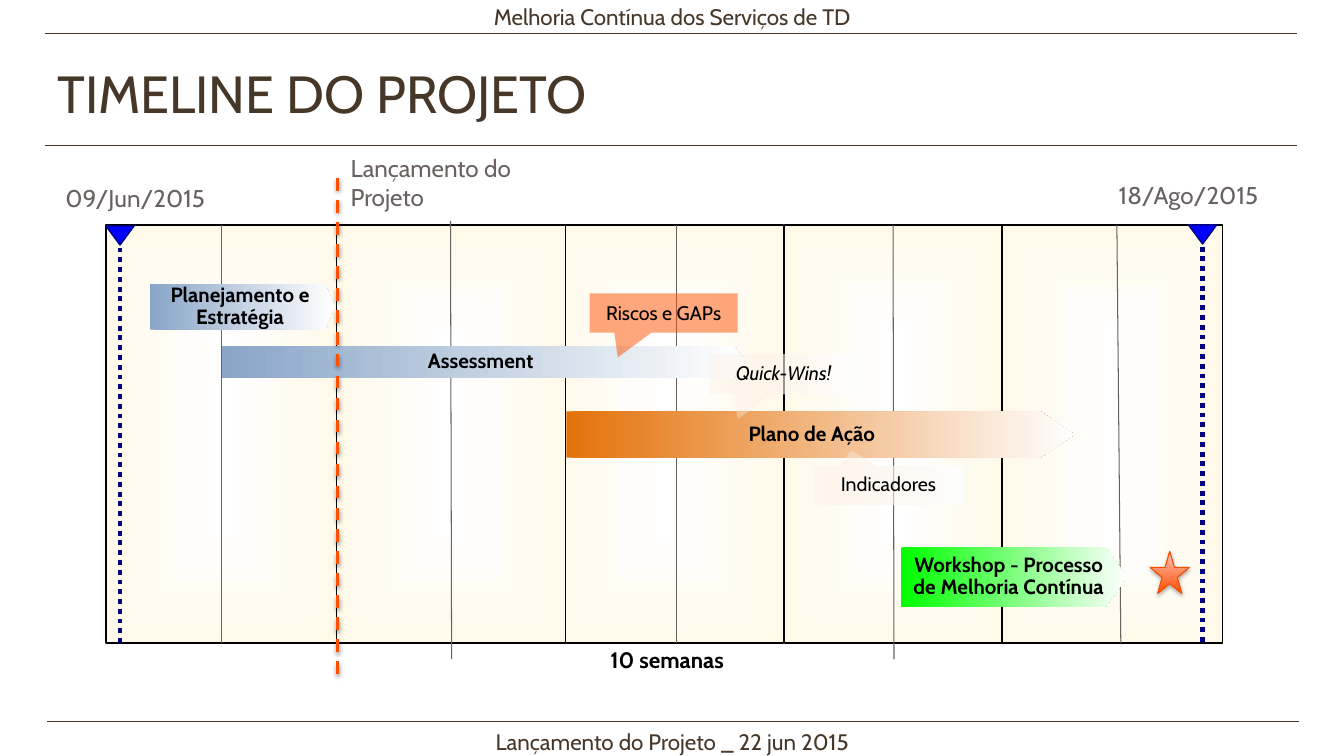
import pptx
import pptx.util
import pptx.dml.color
import pptx.enum.dml
import pptx.enum.shapes
import pptx.enum.text
import pptx.oxml
import pptx.oxml.ns

Pt = pptx.util.Pt
SHAPE = pptx.enum.shapes.MSO_SHAPE
DASH = pptx.enum.dml.MSO_LINE
ALIGN = pptx.enum.text.PP_ALIGN
ANCHOR = pptx.enum.text.MSO_ANCHOR
NS = pptx.oxml.ns.nsdecls("a")
qn = pptx.oxml.ns.qn

BROWN, GREY, BLACK, NAVY, ORANGE = "473729", "696261", "000000", "000080", "FE5000"
GRID_TOP, GRID_HEIGHT = 160.6, 298.8
GRID_BOTTOM = GRID_TOP + GRID_HEIGHT


def rgb(code):
    return pptx.dml.color.RGBColor.from_string(code)


def apply(target, values):
    for name, value in values.items():
        setattr(target, name, value)


def write(tf, text, size, color=BLACK, align=ALIGN.LEFT, anchor=ANCHOR.TOP,
          spacing=1.0, inset=(7.2, 3.6), bold=False, italic=False):
    mx, my = inset
    apply(tf, {"word_wrap": True, "vertical_anchor": anchor,
               "auto_size": pptx.enum.text.MSO_AUTO_SIZE.NONE,
               "margin_left": Pt(mx), "margin_right": Pt(mx),
               "margin_top": Pt(my), "margin_bottom": Pt(my)})
    p = tf.paragraphs[0]
    apply(p, {"alignment": align, "line_spacing": spacing, "space_before": Pt(0)})
    r = p.add_run()
    r.text = text
    apply(r.font, {"name": "Cabin", "size": Pt(size), "bold": bold, "italic": italic})
    r.font.color.rgb = rgb(color)


def add_text(slide, box, text, size, **fmt):
    s = slide.shapes.add_textbox(*map(Pt, box))
    write(s.text_frame, text, size, **fmt)


def add_title(slide, box, text, size, **fmt):
    s = slide.shapes.title
    apply(s, dict(zip(("left", "top", "width", "height"), map(Pt, box))))
    write(s.text_frame, text, size, **fmt)


def add_shadow(effects, alpha, blur, distance):
    effects.append(pptx.oxml.parse_xml(
        f'<a:outerShdw {NS} blurRad="{Pt(blur)}" dist="{Pt(distance)}" dir="5400000" '
        f'rotWithShape="0"><a:srgbClr val="{BLACK}"><a:alpha val="{alpha * 1000}"/>'
        '</a:srgbClr></a:outerShdw>'))


def add_line(slide, x1, y1, x2, y2, color, width=0.75, dash=None, shadow=None):
    s = slide.shapes.add_connector(
        pptx.enum.shapes.MSO_CONNECTOR.STRAIGHT, *map(Pt, (x1, y1, x2, y2)))
    s.line.color.rgb = rgb(color)
    apply(s.line, {"width": Pt(width), "dash_style": dash})
    effects = pptx.oxml.parse_xml(f"<a:effectLst {NS}/>")
    s._element.spPr.append(effects)
    if shadow:
        add_shadow(effects, *shadow)


def add_shape(slide, kind, box, colors, line=None, width=1, adj=(), angle=0,
              alpha=None, rotation=0, shadow=None):
    s = slide.shapes.add_shape(kind, *map(Pt, box))
    s.rotation = rotation
    for i, value in enumerate(adj):
        s.adjustments[i] = value
    if len(colors) == 1:
        s.fill.solid()
        s.fill.fore_color.rgb = rgb(colors[0])
    else:
        s.fill.gradient()
        s.fill.gradient_angle = angle
        for stop, code in zip(s.fill.gradient_stops, colors):
            stop.color.rgb = rgb(code)
    spPr = s._element.spPr
    if alpha:
        next(spPr.iter(qn("a:srgbClr"))).append(
            pptx.oxml.parse_xml(f'<a:alpha {NS} val="{alpha * 1000}"/>'))
    if line:
        s.line.color.rgb = rgb(line)
        s.line.width = Pt(width)
    else:
        s.line.fill.background()
    s.shadow.inherit = False
    if shadow:
        add_shadow(spPr.find(qn("a:effectLst")), *shadow)
    return s


def add_panel(slide, left, width):
    s = add_shape(slide, SHAPE.RECTANGLE, (left, GRID_TOP, width, GRID_HEIGHT),
                  ("FFFFFF", "FFF9EA"), BLACK)
    lin = next(s._element.spPr.iter(qn("a:lin")))
    lin.getparent().replace(lin, pptx.oxml.parse_xml(
        f'<a:path {NS} path="shape"><a:fillToRect l="50000" t="50000" '
        'r="50000" b="50000"/></a:path>'))


def add_phase(slide, box, color, point, text):
    s = add_shape(slide, SHAPE.PENTAGON, box, (color, "FFFFFF"), adj=(point,))
    write(s.text_frame, text, 14.7, align=ALIGN.CENTER, anchor=ANCHOR.MIDDLE,
          spacing=0.9, bold=True)


def add_callout(slide, left, top, text, colors, alpha, tip, **fmt):
    s = add_shape(slide, SHAPE.RECTANGULAR_CALLOUT, (left, top, 105.8, 28.1),
                  colors, adj=tip, alpha=alpha)
    write(s.text_frame, text, 14, align=ALIGN.CENTER, anchor=ANCHOR.MIDDLE, **fmt)


def add_milestone(slide, x, top):
    add_line(slide, x, top + 8.6, x, GRID_BOTTOM, NAVY, 3.5, DASH.ROUND_DOT)
    add_shape(slide, SHAPE.ISOSCELES_TRIANGLE, (x - 10.1, top, 20.2, 13.7),
              ("0000FF",), NAVY, rotation=180)


def main():
    prs = pptx.Presentation()
    prs.slide_width, prs.slide_height = Pt(960), Pt(540)
    s = prs.slides.add_slide(prs.slide_layouts[5])

    for left, y in ((33.8, 515.5), (32.4, 23.8), (32.4, 103.7)):
        add_line(s, left, y, left + 894.2, y, BROWN)
    add_title(s, (32.4, 48.2, 894.2, 49), "TIMELINE DO PROJETO", 37.3,
              color=BROWN, spacing=0.8, inset=(8.6, 4.3))
    for top, anchor, text in (
            (-0.7, ANCHOR.MIDDLE, "Melhoria Contínua dos Serviços de TD"),
            (515.5, ANCHOR.TOP, "Lançamento do Projeto _ 22 jun 2015")):
        add_text(s, (313.9, top, 332.6, 25.2), text, 16, color=BROWN,
                 align=ALIGN.CENTER, anchor=anchor, inset=(8.6, 4.3))

    for left, width in ((394.6, 165), (560.2, 155.5), (715.7, 157.7),
                        (239, 165), (75.6, 165)):
        add_panel(s, left, width)
    for x1, x2, over, under in ((158.4, 158.4, 0, 0), (321.8, 322.6, 2.9, 11.5),
                                (483.1, 483.1, 0, 0), (637.9, 638.6, 0, 11.5),
                                (797.8, 800.6, 0, 0)):
        add_line(s, x1, GRID_TOP - over, x2, GRID_BOTTOM + under, GREY)

    for box, color, point, text in (
            ((107.3, 203, 131.8, 32.4), "89A5C7", 0.21, "Planejamento e Estratégia"),
            ((158.4, 247, 374.4, 23), "89A5C7", 0.38, "Assessment"),
            ((404.6, 293.8, 362.9, 33.1), "E4720A", 0.74, "Plano de Ação"),
            ((643.7, 391, 161.3, 42.5), "00FF00", 0.36,
             "Workshop - Processo de Melhoria Contínua")):
        add_phase(s, box, color, point, text)
    add_text(s, (77.6, GRID_BOTTOM, 797.8, 23.8), "10 semanas", 16, bold=True,
             align=ALIGN.CENTER, anchor=ANCHOR.MIDDLE, inset=(9.4, 5))

    pale = ("FDEBDB", "FFFFFF")
    add_callout(s, 421.2, 209.5, "Riscos e GAPs", (ORANGE,), 50, (-0.31, 1.13))
    add_callout(s, 506.9, 253.4, "Quick-Wins!", pale, 21, (-0.31, 1.13),
                spacing=0.9, italic=True)
    add_callout(s, 581.8, 332.6, "Indicadores", pale, 21, (-0.25, -0.88), spacing=0.9)

    add_line(s, 241.2, 127.4, 241.2, 483.1, ORANGE, 2.25, DASH.DASH, (38, 3.1, 1.6))
    for box, text in (((39.6, 127.4, 141.1, 28.1), "09/Jun/2015"),
                      ((792, 125.3, 126, 28.1), "18/Ago/2015"),
                      ((243.4, 105.8, 141.1, 49), "Lançamento do Projeto")):
        add_text(s, box, text, 17.3, color=GREY)
    add_shape(s, SHAPE.STAR_5_POINT, (821.5, 393.8, 28.1, 30.2), (ORANGE, "FFC2BC"),
              "F84E00", 0.75, angle=90, shadow=(35, 3.1, 1.8))
    add_milestone(s, 859, GRID_TOP)
    add_milestone(s, 85.7, 161.3)

    prs.save("out.pptx")


if __name__ == "__main__":
    main()
